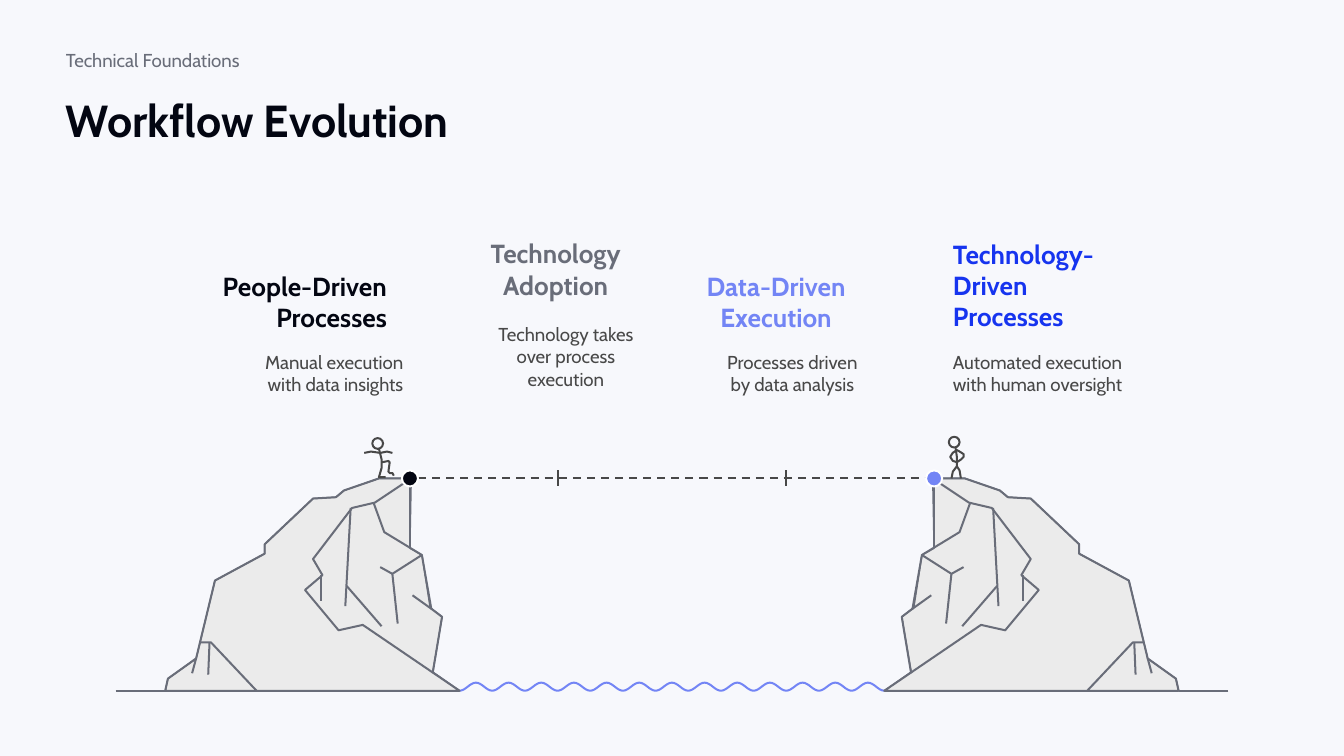
"""Build the Workflow Evolution slide: two cliffs bridged by four stages."""
from copy import deepcopy
from dataclasses import dataclass
from math import cos, pi

from lxml import etree
from pptx import Presentation
from pptx.dml.color import RGBColor
from pptx.enum.dml import MSO_LINE
from pptx.enum.shapes import MSO_CONNECTOR, MSO_SHAPE
from pptx.enum.text import MSO_ANCHOR, MSO_AUTO_SIZE, PP_ALIGN
from pptx.oxml.ns import qn
from pptx.util import Inches, Pt

LEFT, CENTER, RIGHT = PP_ALIGN.LEFT, PP_ALIGN.CENTER, PP_ALIGN.RIGHT
TOP, MIDDLE = MSO_ANCHOR.TOP, MSO_ANCHOR.MIDDLE
DASH = MSO_LINE.DASH
OVAL = MSO_SHAPE.OVAL
STRAIGHT = MSO_CONNECTOR.STRAIGHT
FIT_SHAPE, NO_FIT = MSO_AUTO_SIZE.SHAPE_TO_FIT_TEXT, MSO_AUTO_SIZE.NONE

Point = tuple[float, float]
Stroke = list[Point]


@dataclass(frozen=True)
class Theme:
    """Colours, type sizes and line widths."""
    font: str = "Cabin"
    background: str = "F7F8FC"
    ink: str = "030612"
    gray: str = "696D79"
    body: str = "484848"
    rock: str = "EBEBEB"
    soft_blue: str = "7385F5"
    blue: str = "1634EF"
    white: str = "FFFFFF"
    title_size: float = 24
    heading_size: float = 14
    body_size: float = 10
    stroke: float = 1.09
    thin: float = 0.75


@dataclass(frozen=True)
class Label:
    """Text with its box and alignment."""
    text: str
    box: tuple[float, float, float, float]
    align: PP_ALIGN


@dataclass(frozen=True)
class Stage:
    """One step of the evolution."""
    heading: Label
    detail: Label
    color: str


THEME = Theme()
WIDTH = 10
HEIGHT = WIDTH * 9 / 16
BRIDGE_Y, WATER_Y = 3.56, 5.14
CLIFF_X, SHORE_X = 3.05, 3.42
DOT_RADIUS = 0.06

STAGES = [
    Stage(Label("People-Driven\nProcesses", (1.51, 2.01, 1.37, 0.47), RIGHT),
          Label("Manual execution\nwith data insights", (1.86, 2.61, 1.14, 0.34), RIGHT), THEME.ink),
    Stage(Label("Technology\nAdoption", (3.58, 1.77, 1.11, 0.47), CENTER),
          Label("Technology takes\nover process\nexecution", (3.64, 2.4, 1.14, 0.5), CENTER), THEME.gray),
    Stage(Label("Data-Driven\nExecution", (5.19, 2.01, 1.17, 0.47), CENTER),
          Label("Processes driven\nby data analysis", (5.34, 2.61, 1.11, 0.34), CENTER), THEME.soft_blue),
    Stage(Label("Technology-\nDriven\nProcesses", (7.09, 1.77, 1.21, 0.71), LEFT),
          Label("Automated execution\nwith human oversight", (7.09, 2.61, 1.41, 0.34), LEFT), THEME.blue),
]

RIDGE: Stroke = [(1.23, 5.14), (1.25, 5.05), (1.46, 4.9), (1.6, 4.32), (1.97, 4.12), (1.97, 4.05),
                 (2.33, 3.71), (2.5, 3.7), (2.56, 3.65), (2.82, 3.56), (3.06, 3.56)]
CLIFF_FACE: Stroke = [(3.05, 4.08), (3.14, 4.13), (3.2, 4.52), (3.29, 4.59), (3.22, 5), (3.42, 5.14)]
ROCK_FOLD: Stroke = [(2.79, 3.74), (2.62, 3.78), (2.33, 4.16), (2.4, 4.28), (2.27, 4.39),
                     (2.52, 4.69), (2.7, 4.65), (3.42, 5.14), (1.23, 5.14)]
ROCK_LINES: list[Stroke] = [
    [(0.86, 5.14), (1.23, 5.14)],
    RIDGE + ROCK_FOLD,
    [(1.91, 5.14), (1.57, 4.78), (1.49, 4.78)],
    [(2.78, 3.74), (2.86, 3.96), (3.14, 4.13), (3.21, 4.53), (3.29, 4.59), (3.22, 5.01)],
    [(2.83, 4.22), (2.92, 4.27), (3.14, 4.13)],
    [(1.46, 4.9), (1.43, 5.01)],
    [(1.56, 4.78), (1.55, 5.02)],
    [(2.39, 4.47), (2.39, 4.28)],
    [(2.57, 4.51), (2.61, 3.78)],
    [(2.58, 4.36), (2.84, 4.66)],
    [(3.07, 4.43), (3.21, 4.53)],
    [(3.05, 3.56), (3.05, 4.08)],
    [(2.92, 4.27), (2.96, 4.64)],
]
STEPPING_PERSON: list[Stroke] = [
    [(2.87, 3.55), (2.82, 3.55), (2.84, 3.48), (2.84, 3.42), (2.82, 3.34)],
    [(2.84, 3.44), (2.89, 3.43), (2.9, 3.44), (2.89, 3.51), (2.9, 3.52), (2.92, 3.52), (2.93, 3.54)],
    [(2.71, 3.37), (2.76, 3.36), (2.83, 3.37), (2.88, 3.36), (2.92, 3.37)],
]
STANDING_PERSON: list[Stroke] = [
    [(7.12, 3.48), (7.12, 3.4), (7.11, 3.33)],
    [(7.08, 3.56), (7.09, 3.51), (7.12, 3.47), (7.14, 3.5), (7.15, 3.56)],
    [(7.12, 3.44), (7.09, 3.43), (7.07, 3.4), (7.09, 3.37), (7.12, 3.35), (7.14, 3.36),
     (7.17, 3.38), (7.17, 3.4), (7.15, 3.42), (7.12, 3.44)],
]


def rgb(color: str) -> RGBColor:
    """Turn a hex string into a colour."""
    return RGBColor.from_string(color)


def write(shape, text: str, *, size: float, color: str, bold: bool = False, align: PP_ALIGN = LEFT,
          anchor: MSO_ANCHOR = TOP, inset: float = 0, wrap: bool = False) -> None:
    """Put formatted text into a shape, sizing its line breaks like its runs."""
    frame = shape.text_frame
    frame.word_wrap = wrap
    frame.auto_size = NO_FIT if wrap else FIT_SHAPE
    frame.vertical_anchor = anchor
    frame.margin_left = frame.margin_right = frame.margin_top = frame.margin_bottom = Inches(inset)
    paragraph = frame.paragraphs[0]
    paragraph.text = text
    paragraph.alignment = align
    paragraph.space_before = Pt(0)
    for run in paragraph.runs:
        run.font.name, run.font.size, run.font.bold = THEME.font, Pt(size), bold
        run.font.color.rgb = rgb(color)
    for line_break in paragraph._p.findall(qn("a:br")):
        line_break.append(deepcopy(paragraph.runs[0]._r.rPr))


def place(shape, box: tuple[float, float, float, float]) -> None:
    """Move and size a shape."""
    shape.left, shape.top, shape.width, shape.height = map(Inches, box)


def style(shape, *, fill: str | None = None, line: str, width: float = THEME.stroke) -> None:
    """Set fill and outline without a shadow."""
    shape.shadow.inherit = False
    if fill:
        shape.fill.solid()
        shape.fill.fore_color.rgb = rgb(fill)
    else:
        shape.fill.background()
    shape.line.color.rgb = rgb(line)
    shape.line.width = Pt(width)


def draw_strokes(slide, strokes: list[Stroke], *, close: bool = False, **look) -> None:
    """Draw several polylines as one freeform."""
    scaled = [[(Inches(x), Inches(y)) for x, y in stroke] for stroke in strokes]
    builder = slide.shapes.build_freeform(*scaled[0][0], scale=1.0)
    for index, (start, *rest) in enumerate(scaled):
        if index:
            builder.move_to(*start)
        builder.add_line_segments(rest, close=close)
    style(builder.convert_to_shape(), **look)


def draw_line(slide, start: Point, end: Point, dash: MSO_LINE | None = None) -> None:
    """Draw a straight line of the bridge."""
    line = slide.shapes.add_connector(STRAIGHT, *map(Inches, (*start, *end)))
    line.line.color.rgb = rgb(THEME.body)
    line.line.width = Pt(THEME.stroke)
    line.line.dash_style = dash
    etree.SubElement(line._element.spPr, qn("a:effectLst"))


def draw_circle(slide, center: Point, radius: float, **look) -> None:
    """Draw a circle around its centre."""
    x, y = center
    box = map(Inches, (x - radius, y - radius, 2 * radius, 2 * radius))
    style(slide.shapes.add_shape(OVAL, *box), **look)


def draw_water(slide, waves: int = 13, steps: int = 16, crest: float = 0.06) -> None:
    """Draw the waves between the two shores."""
    count = waves * steps
    span = WIDTH - 2 * SHORE_X
    wave = [(SHORE_X + span * i / count, WATER_Y - crest * (1 - cos(2 * pi * i / steps)) / 2)
            for i in range(count + 1)]
    draw_strokes(slide, [wave], line=THEME.soft_blue)


def draw_cliff(slide, mirrored: bool) -> None:
    """Draw a cliff, optionally reflected about the slide's centre."""
    def side(stroke: Stroke) -> Stroke:
        return [(WIDTH - x if mirrored else x, y) for x, y in stroke]

    draw_strokes(slide, [side(RIDGE + CLIFF_FACE)], close=True, fill=THEME.rock, line=THEME.gray, width=THEME.thin)
    draw_strokes(slide, [side(stroke) for stroke in ROCK_LINES], line=THEME.gray)


def main() -> None:
    """Build and save the slide."""
    deck = Presentation()
    deck.slide_width, deck.slide_height = Inches(WIDTH), Inches(HEIGHT)
    slide = deck.slides.add_slide(deck.slide_layouts[0])
    slide.background.fill.solid()
    slide.background.fill.fore_color.rgb = rgb(THEME.background)

    title, section = slide.shapes.title, slide.placeholders[1]
    place(section, (0.39, 0.31, 2.36, 0.28))
    write(section, "Technical Foundations", size=THEME.body_size, color=THEME.gray,
          anchor=MIDDLE, inset=0.1, wrap=True)
    place(title, (0.39, 0.59, 9.23, 0.9))
    write(title, "Workflow Evolution", size=THEME.title_size, color=THEME.ink, bold=True, inset=0.1, wrap=True)

    draw_water(slide)
    for mirrored in (False, True):
        draw_cliff(slide, mirrored)
    bridge_start = CLIFF_X + DOT_RADIUS
    draw_line(slide, (bridge_start, BRIDGE_Y), (WIDTH - bridge_start, BRIDGE_Y), DASH)
    for tick_x in (4.15, 5.85):
        draw_line(slide, (tick_x, BRIDGE_Y - 0.06), (tick_x, BRIDGE_Y + 0.06))
    for head, person in (((2.81, 3.3), STEPPING_PERSON), ((7.1, 3.29), STANDING_PERSON)):
        draw_circle(slide, head, 0.04, line=THEME.body)
        draw_strokes(slide, person, line=THEME.body)
    for dot_x, color in ((CLIFF_X, THEME.ink), (WIDTH - CLIFF_X, THEME.soft_blue)):
        draw_circle(slide, (dot_x, BRIDGE_Y), DOT_RADIUS, fill=color, line=THEME.white)

    for stage in STAGES:
        for label, size, color, bold in ((stage.heading, THEME.heading_size, stage.color, True),
                                         (stage.detail, THEME.body_size, THEME.body, False)):
            box = slide.shapes.add_textbox(*map(Inches, label.box))
            write(box, label.text, size=size, color=color, bold=bold, align=label.align)
    deck.save("out.pptx")


if __name__ == "__main__":
    main()
